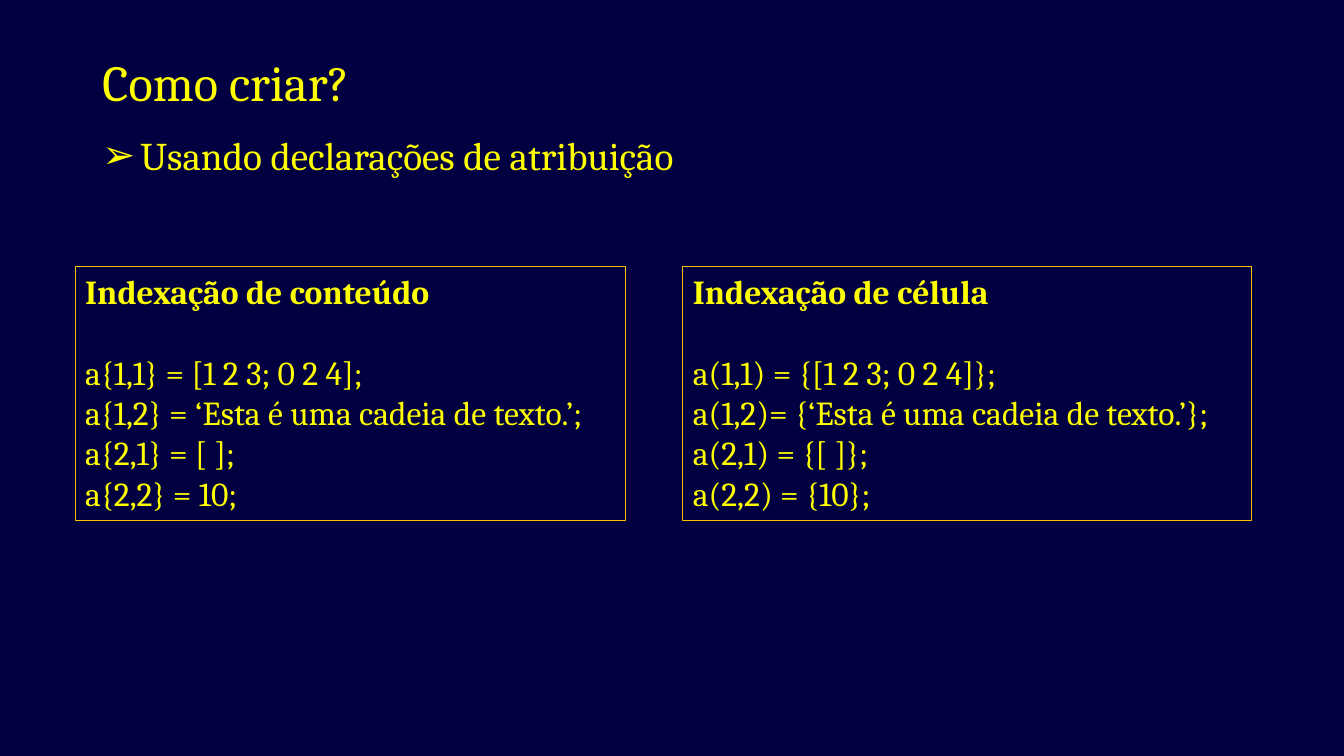
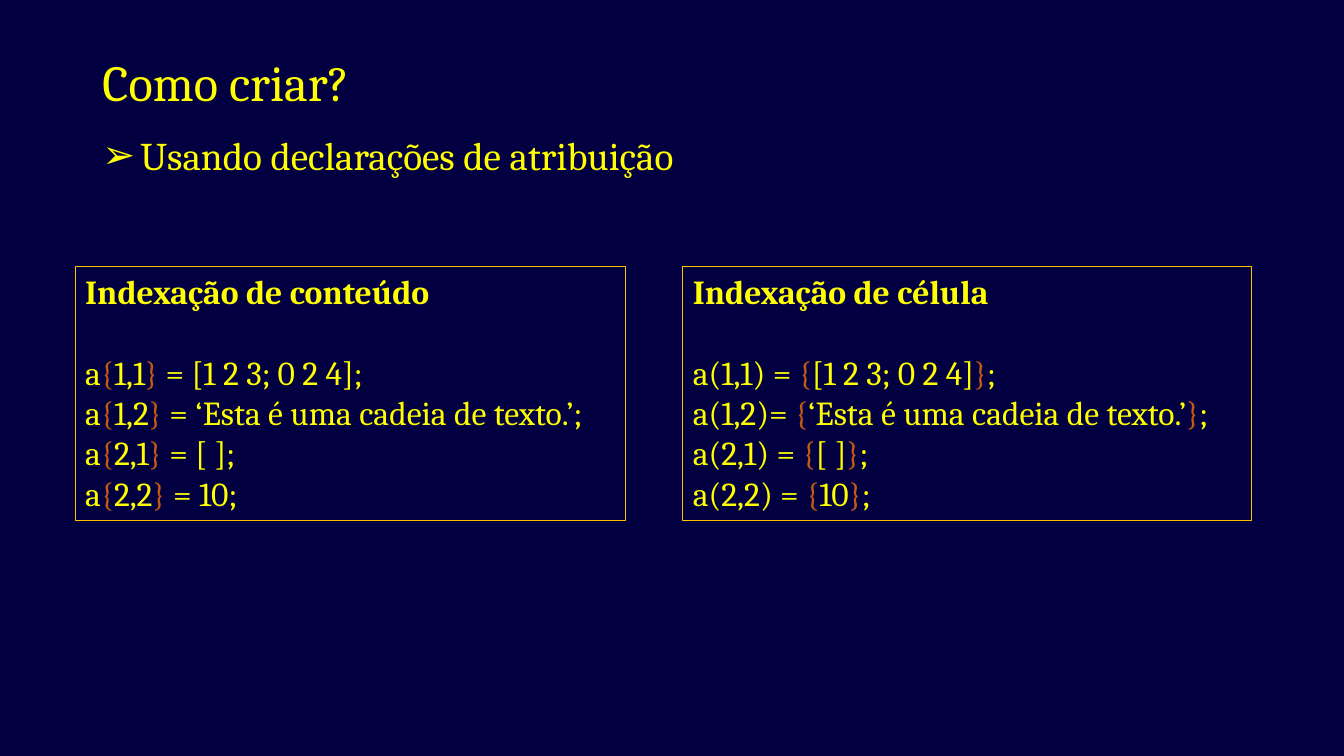
import itertools
import lxml.etree
import pptx
import pptx.dml.color
import pptx.enum.shapes
import pptx.enum.text
import pptx.oxml.ns
import pptx.util

Pt = pptx.util.Pt
RGB = pptx.dml.color.RGBColor
ALIGN = pptx.enum.text.PP_ALIGN
ANCHOR = pptx.enum.text.MSO_ANCHOR
FIT = pptx.enum.text.MSO_AUTO_SIZE
RECT = pptx.enum.shapes.MSO_SHAPE.RECTANGLE

NAVY = RGB(0x02, 0x00, 0x41)
YELLOW = RGB(0xFF, 0xFF, 0x00)
GOLD = RGB(0xFF, 0xC0, 0x00)
ORANGE = RGB(0xC5, 0x5A, 0x11)
FONT = "Cambria"

TITLE = "Como criar?"
POINT = "Usando declarações de atribuição"
PANELS = [
    (53.8, 393.12, "Indexação de conteúdo", [
        "a{1,1} = [1 2 3; 0 2 4];",
        "a{1,2} = ‘Esta é uma cadeia de texto.’;",
        "a{2,1} = [ ];",
        "a{2,2} = 10;",
    ]),
    (487.8, 406.08, "Indexação de célula", [
        "a(1,1) = {[1 2 3; 0 2 4]};",
        "a(1,2)= {‘Esta é uma cadeia de texto.’};",
        "a(2,1) = {[ ]};",
        "a(2,2) = {10};",
    ]),
]
BRACES = [YELLOW, ORANGE]
TOP, HIGH = 190.08, 181.44
SPOTS = [(66, 32.4, 828, 57.6), (66, 90, 828, 50)]


def add_run(para, text, size, color=YELLOW, bold=False):
    run = para.add_run()
    run.text = text
    font = run.font
    font.name, font.size, font.bold = FONT, Pt(size), bold
    font.color.rgb = color


def is_brace(char):
    return char in "{}"


def set_base(deck):
    fill = deck.slide_master.background.fill
    fill.solid()
    fill.fore_color.rgb = NAVY
    layout = deck.slide_layouts[1]
    for holder, (left, top, wide, high) in zip(layout.placeholders, SPOTS):
        holder.left, holder.top = Pt(left), Pt(top)
        holder.width, holder.height = Pt(wide), Pt(high)
    return layout


def add_head(slide):
    frame = slide.shapes.title.text_frame
    frame.vertical_anchor = ANCHOR.MIDDLE
    frame.auto_size = FIT.NONE
    para = frame.paragraphs[0]
    para.alignment = ALIGN.LEFT
    para.line_spacing = 0.9
    add_run(para, TITLE, 36)


def add_point(slide):
    frame = slide.placeholders[1].text_frame
    frame.auto_size = FIT.NONE
    para = frame.paragraphs[0]
    para.space_before = Pt(0)
    add_run(para, POINT, 28)
    props = para._p.get_or_add_pPr()
    props.set("marL", str(Pt(27)))
    props.set("indent", str(-Pt(27)))
    mark = lxml.etree.SubElement(props, pptx.oxml.ns.qn("a:buChar"))
    mark.set("char", "➢")


def add_panel(slide, left, wide, head, lines, brace):
    box = slide.shapes.add_shape(RECT, Pt(left), Pt(TOP), Pt(wide), Pt(HIGH))
    box.shadow.inherit = False
    box.fill.background()
    box.line.color.rgb = GOLD
    box.line.width = Pt(0.75)
    frame = box.text_frame
    frame.word_wrap = False
    frame.auto_size = FIT.SHAPE_TO_FIT_TEXT
    frame.vertical_anchor = ANCHOR.TOP
    para = frame.paragraphs[0]
    para.alignment = ALIGN.LEFT
    para.space_after = Pt(28.8)
    add_run(para, head, 24, bold=True)
    for line in lines:
        para = frame.add_paragraph()
        para.alignment = ALIGN.LEFT
        for found, chars in itertools.groupby(line, is_brace):
            add_run(para, "".join(chars), 24, brace if found else YELLOW)


def main():
    deck = pptx.Presentation()
    deck.slide_width, deck.slide_height = Pt(960), Pt(540)
    layout = set_base(deck)
    for brace in BRACES:
        slide = deck.slides.add_slide(layout)
        add_head(slide)
        add_point(slide)
        for panel in PANELS:
            add_panel(slide, *panel, brace)
    deck.save("out.pptx")


if __name__ == "__main__":
    main()
